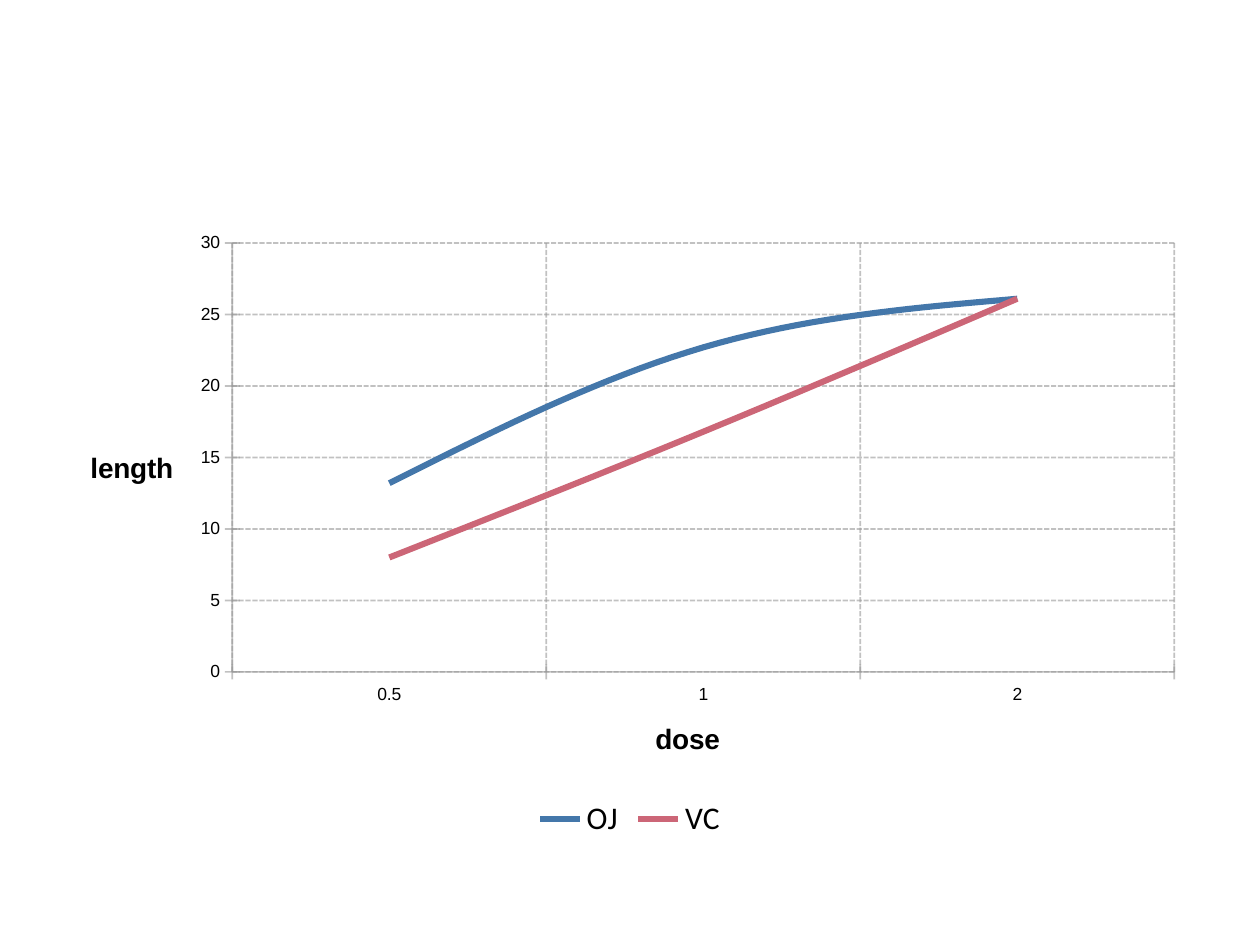
import dataclasses

import lxml.etree
import pptx
import pptx.chart.axis
import pptx.chart.data
import pptx.dml.color
import pptx.dml.line
import pptx.enum.chart
import pptx.enum.dml
import pptx.oxml.ns
import pptx.text.text
import pptx.util

BLACK = "000000"
GREY = "999999"
DOSES = ("0.5", "1", "2")


@dataclasses.dataclass(frozen=True)
class Supplement:
    name: str
    lengths: tuple[float, ...]
    color: str


SUPPLEMENTS = (
    Supplement("OJ", (13.2, 22.7, 26.1), "4477AA"),
    Supplement("VC", (8, 16.8, 26.1), "CC6677"),
)


def rgb(color: str) -> pptx.dml.color.RGBColor:
    return pptx.dml.color.RGBColor.from_string(color)


def style_font(font: pptx.text.text.Font, name: str, size: float, bold: bool = False) -> None:
    font.name = name
    font.size = pptx.util.Pt(size)
    font.bold = bold
    font.color.rgb = rgb(BLACK)


def style_line(line: pptx.dml.line.LineFormat, color: str, width: float) -> None:
    line.color.rgb = rgb(color)
    line.width = pptx.util.Pt(width)


def style_axis(axis: pptx.chart.axis._BaseAxis, title: str) -> None:
    axis.has_major_gridlines = True
    grid = axis.major_gridlines.format.line
    for line, dash in (
        (axis.format.line, pptx.enum.dml.MSO_LINE.SOLID),
        (grid, pptx.enum.dml.MSO_LINE.SQUARE_DOT),
    ):
        style_line(line, GREY, 1)
        line.dash_style = dash
    for tint in axis._element.iter(pptx.oxml.ns.qn("a:srgbClr")):
        lxml.etree.SubElement(tint, pptx.oxml.ns.qn("a:alpha"), val="60000")
    axis.major_tick_mark = pptx.enum.chart.XL_TICK_MARK.CROSS
    axis.minor_tick_mark = pptx.enum.chart.XL_TICK_MARK.NONE
    axis.tick_labels.number_format = "General"
    axis.tick_labels.number_format_is_linked = False
    style_font(axis.tick_labels.font, "Arial", 10)
    axis.has_title = True
    frame = axis.axis_title.text_frame
    frame.text = title
    style_font(frame.paragraphs[0].font, "Arial", 16, True)
    frame._txBody.bodyPr.set("rot", "0")
    frame._txBody.bodyPr.set("vert", "horz")


presentation = pptx.Presentation()
presentation.slide_width = pptx.util.Cm(25.4)
presentation.slide_height = pptx.util.Cm(19.05)
slide = presentation.slides.add_slide(presentation.slide_layouts[6])

growth = pptx.chart.data.CategoryChartData()
growth.categories = DOSES
for supplement in SUPPLEMENTS:
    growth.add_series(supplement.name, supplement.lengths)

chart = slide.shapes.add_chart(
    pptx.enum.chart.XL_CHART_TYPE.LINE,
    pptx.util.Cm(1.27),
    pptx.util.Cm(4.45),
    pptx.util.Cm(22.86),
    pptx.util.Cm(12.57),
    growth,
).chart
chart.has_title = False
style_font(chart.font, "Calibri", 18)
chart.has_legend = True
chart.legend.position = pptx.enum.chart.XL_LEGEND_POSITION.BOTTOM
chart.legend.include_in_layout = False
style_font(chart.legend.font, "Calibri", 18)

plot = chart.plots[0]
plot.vary_by_categories = False
for supplement, series in zip(SUPPLEMENTS, plot.series):
    style_line(series.format.line, supplement.color, 3.5)
    series.smooth = True
    series.marker.style = pptx.enum.chart.XL_MARKER_STYLE.NONE

style_axis(chart.category_axis, "dose")
style_axis(chart.value_axis, "length")
chart.value_axis.minimum_scale = 0
chart.value_axis.maximum_scale = 30
chart.value_axis.major_unit = 5

presentation.save("out.pptx")
